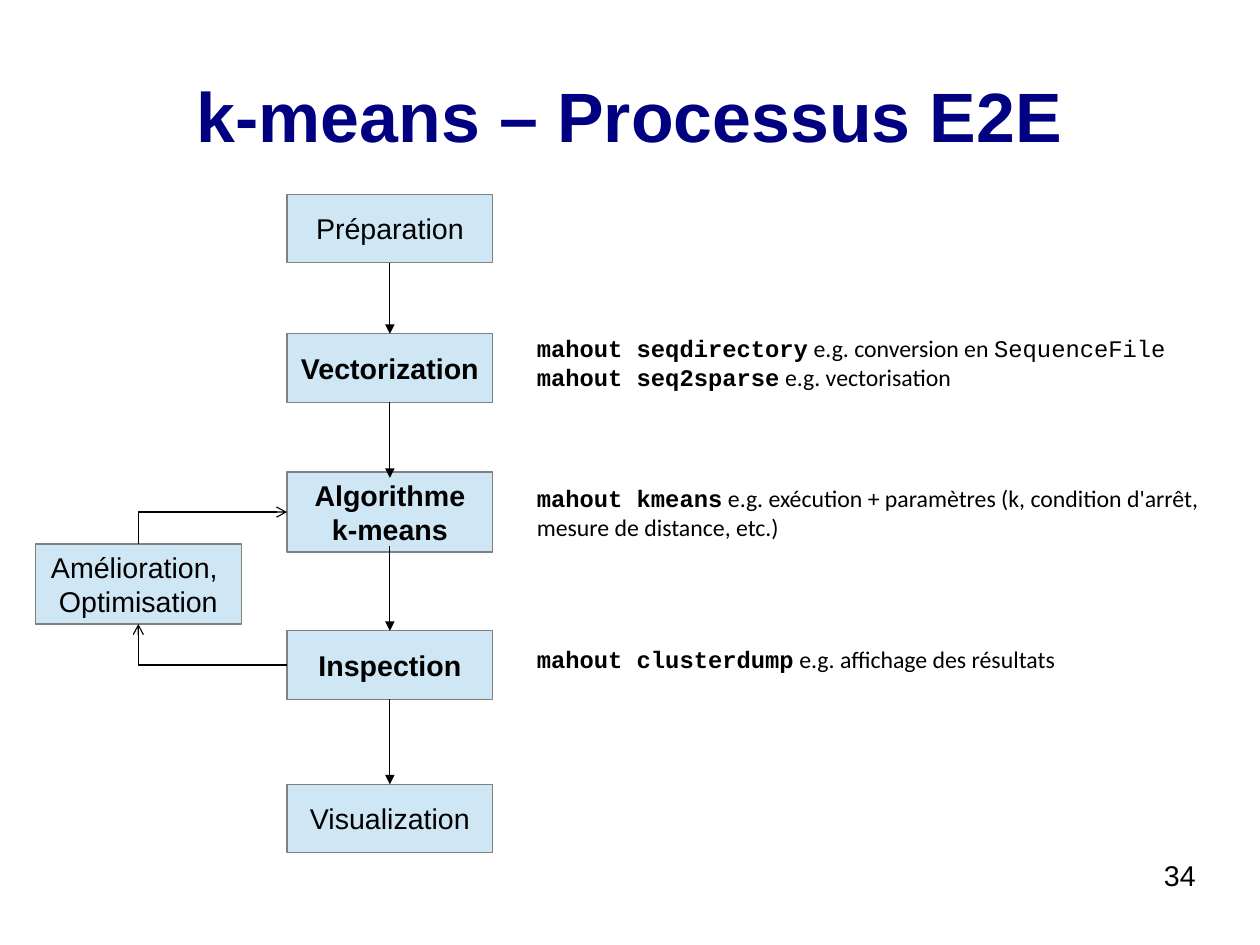
from pptx import Presentation
from pptx.dml.color import RGBColor
from pptx.enum.shapes import MSO_CONNECTOR as Link, MSO_SHAPE as Preset
from pptx.enum.text import MSO_ANCHOR as Anchor, PP_ALIGN as Align
from pptx.oxml.ns import qn
from pptx.util import Cm, Pt
from lxml.etree import SubElement

TITLE = "k-means – Processus E2E"
PAGE = "34"
STEPS = [
    (["Préparation"], 5.08, 1.52, False),
    (["Vectorization"], 8.18, 1.52, True),
    (["Algorithme", "k-means"], 11.38, 1.78, True),
    (["Inspection"], 14.78, 1.52, True),
    (["Visualization"], 18.19, 1.52, False),
]
LOOP = (["Amélioration, ", "Optimisation"], 12.98, 1.78, False)
CODE, PROSE = "Courier New", "Calibri"
COMMANDS = [
    (7.29, 1.52, [
        [("mahout seqdirectory", CODE, True),
         (" e.g. conversion en ", PROSE, False),
         ("SequenceFile", CODE, False)],
        [("mahout seq2sparse", CODE, True),
         (" e.g. vectorisation", PROSE, False)],
    ]),
    (10.62, 1.52, [
        [("mahout kmeans", CODE, True),
         (" e.g. exécution + paramètres (k, condition d'arrêt, "
          "mesure de distance, etc.)", PROSE, False)],
    ]),
    (14.2, 1.02, [
        [("mahout clusterdump", CODE, True),
         (" e.g. affichage des résultats", PROSE, False)],
    ]),
]
COLORS = {"title": "000080", "text": "000000", "box": "CFE7F5", "edge": "808080"}
STEP_LEFT, LOOP_LEFT, BOX_WIDTH, SLOT = 6.38, 0.79, 4.57, 1.52
COMMAND_LEFT, COMMAND_WIDTH = 11.68, 16


def color(name):
    return RGBColor.from_string(COLORS[name])


def style(font, size, tint="text", bold=False):
    font.size, font.bold = Pt(size), bold
    font.color.rgb = color(tint)


def text_area(left, top, width, height, margins=(0.25, 0.13, 0.25, 0.13)):
    frame = slide.shapes.add_textbox(Cm(left), Cm(top), Cm(width), Cm(height)).text_frame
    frame.word_wrap = True
    (frame.margin_left, frame.margin_top,
     frame.margin_right, frame.margin_bottom) = map(Cm, margins)
    return frame


def heading(frame, text, align, size, tint, bold):
    paragraph = frame.paragraphs[0]
    paragraph.text, paragraph.alignment, paragraph.line_spacing = text, align, 0.93
    style(paragraph.font, size, tint, bold)
    paragraph.font.name = "Arial"


def box(left, lines, middle, height, bold):
    rect = slide.shapes.add_shape(
        Preset.RECTANGLE, Cm(left), Cm(middle - height / 2), Cm(BOX_WIDTH), Cm(height))
    rect.shadow.inherit = False
    rect.fill.solid()
    rect.fill.fore_color.rgb = color("box")
    rect.line.color.rgb, rect.line.width = color("edge"), Pt(0.75)
    frame = rect.text_frame
    frame.word_wrap, frame.vertical_anchor = True, Anchor.MIDDLE
    frame.text = "\n".join(lines)
    for paragraph in frame.paragraphs:
        paragraph.alignment = Align.CENTER
        style(paragraph.font, 18, bold=bold)
        paragraph.font.name = "Arial"


def arrow(start, end, tip="tailEnd", head="triangle", bent=False):
    link = slide.shapes.add_connector(
        Link.ELBOW if bent else Link.STRAIGHT, *map(Cm, start + end))
    link.line.color.rgb, link.line.width = color("text"), Pt(0.75)
    properties = link._element.spPr
    if bent:
        properties.find(qn("a:prstGeom")).set("prst", "bentConnector2")
    SubElement(properties.find(qn("a:ln")), qn(f"a:{tip}"), type=head)
    SubElement(properties, qn("a:effectLst"))


deck = Presentation()
deck.slide_width, deck.slide_height = Cm(28), Cm(21)
slide = deck.slides.add_slide(deck.slide_layouts[6])

title = text_area(1.4, 0.84, 25.2, 3.5, (0, 0.1, 0, 0))
title.vertical_anchor = Anchor.MIDDLE
heading(title, TITLE, Align.CENTER, 44, "title", True)

for top, height, lines in COMMANDS:
    frame = text_area(COMMAND_LEFT, top, COMMAND_WIDTH, height)
    for index, runs in enumerate(lines):
        paragraph = frame.add_paragraph() if index else frame.paragraphs[0]
        for text, face, bold in runs:
            run = paragraph.add_run()
            run.text = text
            style(run.font, 15, bold=bold)
            run.font.name = face

for step in STEPS:
    box(STEP_LEFT, *step)
box(LOOP_LEFT, *LOOP)

middles = [middle for _, middle, _, _ in STEPS]
axis = STEP_LEFT + BOX_WIDTH / 2
for upper, lower in zip(middles, middles[1:]):
    arrow((axis, upper + SLOT / 2), (axis, lower - SLOT / 2))

loop_axis = LOOP_LEFT + BOX_WIDTH / 2
_, loop_middle, loop_height, _ = LOOP
for middle, side, tip in ((middles[2], -1, "headEnd"), (middles[3], 1, "tailEnd")):
    arrow((STEP_LEFT, middle), (loop_axis, loop_middle + side * loop_height / 2),
          tip, "arrow", bent=True)

heading(text_area(20.07, 19.13, 6.5, 1.42, (0, 0, 0, 0)),
        PAGE, Align.RIGHT, 18, "text", False)

deck.save("out.pptx")
